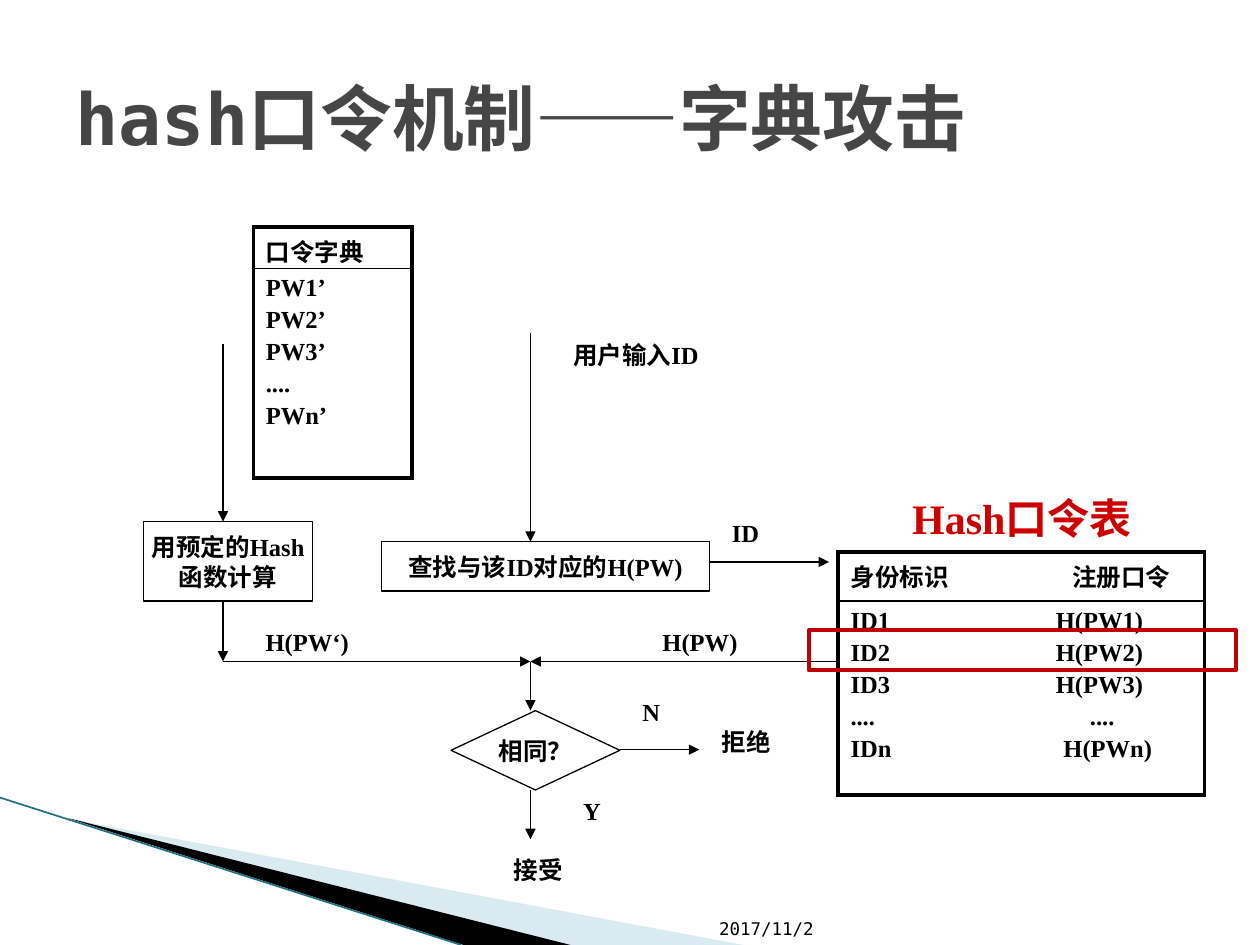
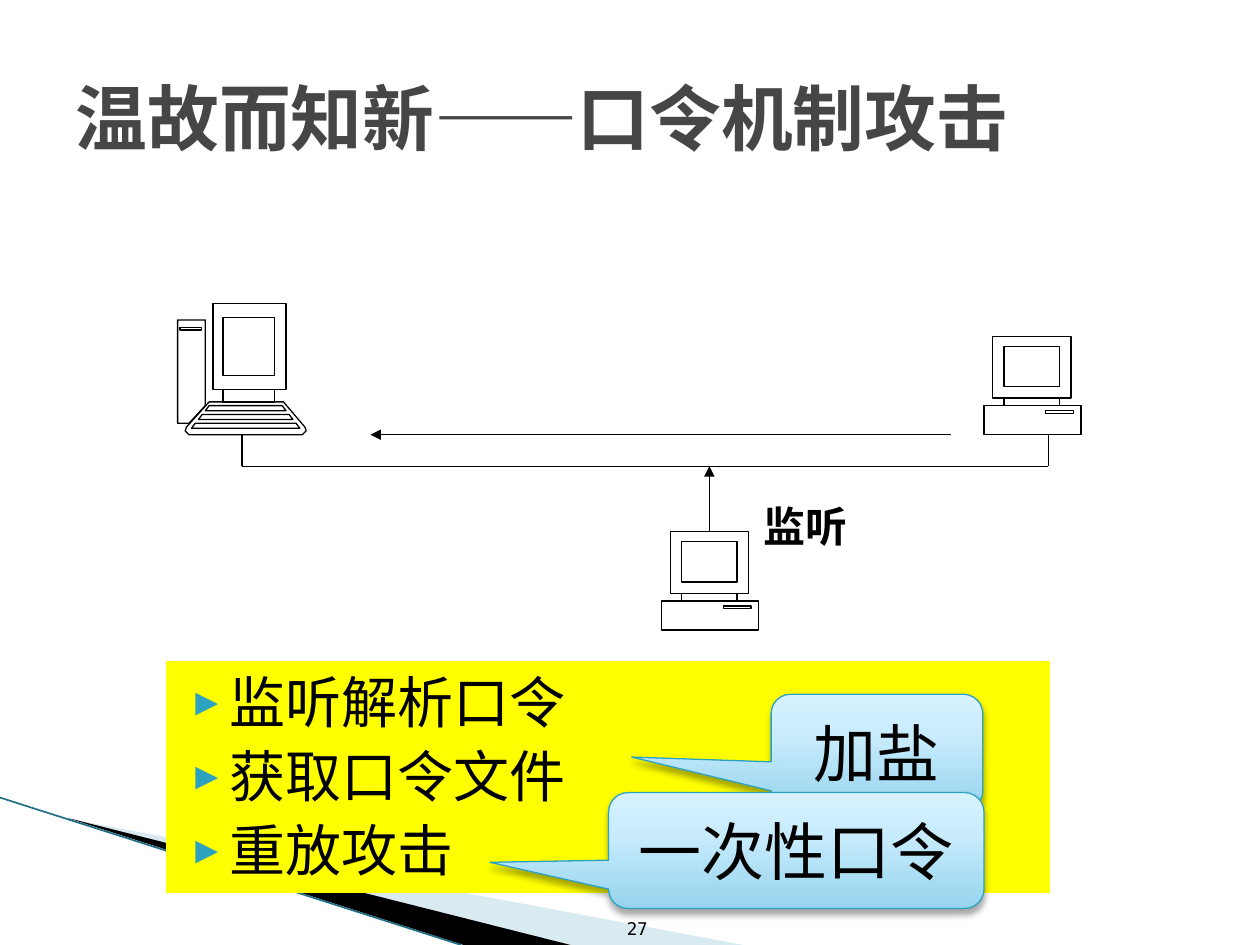
from copy import deepcopy

from lxml.etree import SubElement
from pptx import Presentation
from pptx.dml.color import RGBColor
from pptx.enum.shapes import MSO_CONNECTOR, MSO_SHAPE
from pptx.enum.text import MSO_ANCHOR, MSO_AUTO_SIZE, PP_ALIGN
from pptx.oxml.ns import qn
from pptx.util import Inches, Pt

# Shared look
BLACK = RGBColor(0x00, 0x00, 0x00)
WHITE = RGBColor(0xFF, 0xFF, 0xFF)
TITLE_GRAY = RGBColor(0x46, 0x46, 0x46)
PALE_BLUE = RGBColor(0xA0, 0xCB, 0xDC)
DARK_TEAL = RGBColor(0x1F, 0x6F, 0x85)
TEAL = RGBColor(0x2D, 0xA2, 0xBF)
YELLOW = RGBColor(0xFF, 0xFF, 0x00)
HEADING_RED = RGBColor(0xCC, 0x00, 0x00)
FRAME_RED = RGBColor(0xC0, 0x00, 0x00)
CALLOUT_STOPS = [
    (0, RGBColor(0x96, 0xD4, 0xEE)),
    (0.65, RGBColor(0xC9, 0xEC, 0xFC)),
    (1, RGBColor(0xD7, 0xF2, 0xFF)),
]
MONO, SANS, SERIF = "DejaVu Sans Mono", "Noto Sans CJK SC", "Times New Roman"
CENTER, LEFT, RIGHT = PP_ALIGN.CENTER, PP_ALIGN.LEFT, PP_ALIGN.RIGHT
TOP, MIDDLE, BOTTOM = MSO_ANCHOR.TOP, MSO_ANCHOR.MIDDLE, MSO_ANCHOR.BOTTOM
THIN, THICK = 0.75, 2.25

# Bands in the lower left corner: colour, opacity in percent and corners
BANDS = [
    (PALE_BLUE, 40, [(0.55, 6.5), (5.9, 7.5), (4.52, 7.5)]),
    (BLACK, 100, [(0.53, 6.49), (4.53, 7.5), (3.68, 7.5)]),
]
BAND_EDGE = (0, 6.33, 3.66, 7.5)

# Dictionary attack: each table row holds its text, and a second text with its tab stop
DICTIONARY = {
    "box": (2.01, 1.8, 1.26),
    "heights": (0.33, 1.66),
    "header": [("口令字典",)],
    "body": [("PW1’",), ("PW2’",), ("PW3’",), ("....",), ("PWn’",)],
}
HASH_TABLE = {
    "box": (6.65, 4.38, 2.91),
    "heights": (0.39, 1.54),
    "header": [("身份标识", "注册口令", 1.76)],
    "body": [
        ("ID1", "H(PW1)", 1.63),
        ("ID2", "H(PW2)", 1.63),
        ("ID3", "H(PW3)", 1.63),
        ("....", "....", 1.9),
        ("IDn", "H(PWn)", 1.69),
    ],
}
STEPS = [
    (MSO_SHAPE.FLOWCHART_DECISION, "相同？", (3.58, 5.64, 1.34, 0.63)),
    (MSO_SHAPE.RECTANGLE, "用预定的Hash\n函数计算", (1.14, 4.14, 1.34, 0.63)),
    (MSO_SHAPE.RECTANGLE, "查找与该ID对应的H(PW)", (3.03, 4.3, 2.6, 0.39)),
]
FLOW_ARROWS = [
    (1.77, 2.73, 1.77, 4.14),
    (1.77, 4.77, 1.77, 5.25),
    (1.77, 5.25, 4.21, 5.25),
    (6.65, 5.25, 4.21, 5.25),
    (4.21, 2.64, 4.21, 4.3),
    (4.21, 5.25, 4.21, 5.64),
    (4.21, 6.27, 4.21, 6.66),
    (4.92, 5.95, 5.55, 5.95),
    (5.63, 4.46, 6.58, 4.46),
]
FLOW_LABELS = [
    ("接受", 3.98, 6.74, 0.71),
    ("拒绝", 5.63, 5.72, 0.79),
    ("N", 5, 5.48, 0.79),
    ("Y", 4.53, 6.27, 0.79),
    ("H(PW‘)", 2.01, 4.93, 1.26),
    ("H(PW)", 5.16, 4.93, 1.26),
    ("用户输入ID", 4.45, 2.65, 2.21),
    ("ID", 5.71, 4.06, 0.55),
]

# Password attacks: parts of the computers and the network between them
DESKTOP_PARTS = [
    (0, 0.55, 0.77, 0.23),
    (0.16, 0.49, 0.44, 0.06),
    (0.07, 0, 0.62, 0.49),
    (0.16, 0.08, 0.44, 0.32),
    (0.49, 0.59, 0.22, 0.02),
]
DESKTOPS = [(7.81, 2.67), (5.25, 4.22)]
SERVER_PARTS = [
    (1.77, 3.09, 0.41, 0.1),
    (1.69, 2.41, 0.58, 0.68),
    (1.77, 2.52, 0.41, 0.46),
    (1.43, 2.6, 0.17, 0.02),
]
TOWER = [(1.41, 2.54), (1.63, 2.54), (1.63, 3.22), (1.5, 3.36), (1.41, 3.36)]
KEYBOARD = [(1.66, 3.19), (2.25, 3.19), (2.42, 3.39), (2.43, 3.42),
            (2.4, 3.45), (1.5, 3.45), (1.47, 3.42), (1.48, 3.39)]
KEY_ROWS = 3
NETWORK_LINES = [(1.92, 3.45, 1.92, 3.7), (8.32, 3.45, 8.32, 3.7), (1.92, 3.7, 8.32, 3.7)]
NETWORK_ARROWS = [(5.63, 4.22, 5.63, 3.7), (7.55, 3.45, 2.94, 3.45)]
ATTACKS = ["监听解析口令", "获取口令文件", "重放攻击"]
CALLOUTS = [
    ("加盐", (6.12, 5.51, 1.68, 0.92), (-1.159, 0.042, 0.167)),
    ("一次性口令", (4.83, 6.29, 2.98, 0.92), (-0.816, 0.102, 0.167)),
]


def inches(values):
    return [Inches(value) for value in values]


def write(text_frame, text, size, font=SERIF, color=BLACK, bold=False,
          align=LEFT, anchor=TOP, wrap=True):
    text_frame.text = text
    text_frame.word_wrap = wrap
    text_frame.auto_size = MSO_AUTO_SIZE.NONE
    text_frame.vertical_anchor = anchor
    for paragraph in text_frame.paragraphs:
        paragraph.alignment = align
        format_runs(paragraph, size, font, color, bold)


def format_runs(paragraph, size, font, color, bold):
    for run in paragraph.runs:
        run.font.size = Pt(size)
        run.font.bold = bold
        run.font.name = font
        run.font.color.rgb = color
        SubElement(run.font._element, qn("a:ea"), typeface=SANS)


def paint(shape, fill, line=BLACK, width=THIN):
    if fill is None:
        shape.fill.background()
    else:
        shape.fill.solid()
        shape.fill.fore_color.rgb = fill
    if line is None:
        shape.line.fill.background()
    else:
        shape.line.color.rgb = line
        shape.line.width = Pt(width)
    shape.shadow.inherit = False
    return shape


def add_block(slide, box, fill=WHITE, line=BLACK, width=THIN, kind=MSO_SHAPE.RECTANGLE):
    return paint(slide.shapes.add_shape(kind, *inches(box)), fill, line, width)


def add_outline(slide, contours, fill=None, line=BLACK):
    builder = slide.shapes.build_freeform(*inches(contours[0][0]))
    for number, contour in enumerate(contours):
        corners = [inches(point) for point in contour]
        if number:
            builder.move_to(*corners[0])
        builder.add_line_segments(corners[1:], close=True)
    return paint(builder.convert_to_shape(), fill, line)


def box_corners(box, left=0, top=0):
    x, y, width, height = box
    x, y = x + left, y + top
    return [(x, y), (x + width, y), (x + width, y + height), (x, y + height)]


def add_line(slide, ends, arrow=False, color=BLACK, width=THIN):
    connector = slide.shapes.add_connector(MSO_CONNECTOR.STRAIGHT, *inches(ends))
    connector.line.color.rgb = color
    connector.line.width = Pt(width)
    if arrow:
        SubElement(connector.line._get_or_add_ln(), qn("a:tailEnd"), type="triangle")
    SubElement(connector._element.spPr, qn("a:effectLst"))
    return connector


def add_label(slide, text, box, size, **style):
    label = slide.shapes.add_textbox(*inches(box))
    write(label.text_frame, text, size, **style)


def add_slide(presentation, layout, title):
    slide = presentation.slides.add_slide(presentation.slide_layouts[layout])
    heading = slide.shapes.title
    heading.left, heading.top, heading.width, heading.height = inches((0.5, 0.3, 9, 1.25))
    write(heading.text_frame, title, 41, MONO, TITLE_GRAY, True, anchor=MIDDLE)
    return slide


def add_master_bands(presentation, slide):
    """Draw the bands and move them behind everything, onto the master."""
    parts = []
    for color, opacity, points in BANDS:
        band = add_outline(slide, [points], color, None)
        fill_color = band._element.spPr.find(qn("a:solidFill"))[0]
        SubElement(fill_color, qn("a:alpha"), val=str(opacity * 1000))
        parts.append(band)
    parts.append(add_line(slide, BAND_EDGE, color=DARK_TEAL, width=0.95))
    for position, part in enumerate(parts, start=2):
        presentation.slide_master.shapes._spTree.insert(position, part._element)


def add_list_table(slide, content):
    left, top, width = content["box"]
    heights = content["heights"]
    frame = slide.shapes.add_table(2, 1, *inches((left, top, width, sum(heights))))
    table = frame.table
    table.first_row = table.horz_banding = False
    for index, rows in enumerate((content["header"], content["body"])):
        table.rows[index].height = Inches(heights[index])
        cell = table.cell(index, 0)
        cell.margin_top = Inches(0.05)
        cell.margin_bottom = 0
        cell.fill.background()
        fill_cell(cell, rows)
        top_width, bottom_width = (THICK, THIN) if index == 0 else (THIN, THICK)
        set_borders(cell, {"L": THICK, "R": THICK, "T": top_width, "B": bottom_width})


def fill_cell(cell, rows):
    cell.text_frame.text = "\n".join("\t".join(row[:2]) for row in rows)
    for number, (paragraph, row) in enumerate(zip(cell.text_frame.paragraphs, rows)):
        if number:
            paragraph.space_before = Pt(2.8)
        if len(row) > 2:
            tabs = SubElement(paragraph._p.get_or_add_pPr(), qn("a:tabLst"))
            SubElement(tabs, qn("a:tab"), pos=str(Inches(row[2])), algn="l")
        format_runs(paragraph, 14, SERIF, BLACK, True)


def set_borders(cell, widths):
    properties = cell._tc.get_or_add_tcPr()
    for position, (side, width) in enumerate(widths.items()):
        border = SubElement(properties, qn("a:ln" + side), w=str(Pt(width)))
        fill = SubElement(border, qn("a:solidFill"))
        SubElement(fill, qn("a:srgbClr"), val=str(BLACK))
        properties.insert(position, border)


def add_callout(slide, text, box, adjustments):
    callout = add_block(slide, box, line=TEAL, kind=MSO_SHAPE.ROUNDED_RECTANGULAR_CALLOUT)
    for index, value in enumerate(adjustments):
        callout.adjustments[index] = value
    # Three-stop gradient, darkest at the bottom
    callout.fill.gradient()
    callout.fill.gradient_angle = 90
    stop_list = callout._element.spPr.find(".//" + qn("a:gsLst"))
    stop_list.append(deepcopy(stop_list[-1]))
    for stop, (position, color) in zip(callout.fill.gradient_stops, CALLOUT_STOPS):
        stop.position = position
        stop.color.rgb = color
    # Soft shadow below
    effects = callout._element.spPr.find(qn("a:effectLst"))
    shadow = SubElement(effects, qn("a:outerShdw"), blurRad=str(Pt(4)),
                        dist=str(Pt(3)), dir="5400000", rotWithShape="0")
    color = SubElement(shadow, qn("a:srgbClr"), val=str(BLACK))
    SubElement(color, qn("a:alpha"), val="35000")
    write(callout.text_frame, text, 36, MONO, align=CENTER, anchor=MIDDLE)


def add_attack_list(slide):
    body = slide.placeholders[1]
    body.left, body.top, body.width, body.height = inches((1.32, 5.25, 7.01, 1.83))
    body.fill.solid()
    body.fill.fore_color.rgb = YELLOW
    body.line.color.rgb = YELLOW
    body.line.width = Pt(THIN)
    write(body.text_frame, "\n".join(ATTACKS), 32, SANS, align=PP_ALIGN.JUSTIFY)
    for number, paragraph in enumerate(body.text_frame.paragraphs):
        paragraph.line_spacing = Pt(38.3)
        paragraph.space_before = Pt(4 if number else 0)
        properties = paragraph._p.get_or_add_pPr()
        properties.set("marL", str(Inches(0.4)))
        properties.set("indent", str(Inches(-0.27)))
        color = SubElement(properties, qn("a:buClr"))
        SubElement(color, qn("a:srgbClr"), val=str(TEAL))
        SubElement(properties, qn("a:buSzPct"), val="68000")
        SubElement(properties, qn("a:buFont"), typeface=MONO)
        SubElement(properties, qn("a:buChar"), char="▶")


def build_dictionary_attack(presentation):
    slide = add_slide(presentation, 5, "hash口令机制——字典攻击")
    add_master_bands(presentation, slide)
    add_label(slide, "2017/11/2", (5.61, 7.01, 1.12, 0.49), 10, font=MONO, anchor=BOTTOM)
    add_list_table(slide, HASH_TABLE)
    add_list_table(slide, DICTIONARY)
    for kind, text, box in STEPS:
        step = add_block(slide, box, kind=kind)
        write(step.text_frame, text, 14, bold=True, align=CENTER, anchor=MIDDLE, wrap=False)
        for paragraph in step.text_frame.paragraphs:
            paragraph.line_spacing = Pt(17)
    for ends in FLOW_ARROWS:
        add_line(slide, ends, arrow=True)
    for text, left, top, width in FLOW_LABELS:
        add_label(slide, text, (left, top, width, 0.33), 14, bold=True)
    add_label(slide, "Hash口令表", (6.73, 3.86, 2.76, 0.5), 24,
              color=HEADING_RED, bold=True, align=CENTER)
    # Frame around the matching entry
    add_block(slide, (6.42, 5, 3.39, 0.32), None, FRAME_RED, THICK)


def build_password_attacks(presentation):
    slide = add_slide(presentation, 1, "温故而知新——口令机制攻击")
    add_label(slide, "27", (4.68, 7.01, 0.56, 0.49), 10, font=MONO, align=RIGHT, anchor=BOTTOM)
    # Computers
    for left, top in DESKTOPS:
        add_outline(slide, [box_corners(box, left, top) for box in DESKTOP_PARTS])
    server = [TOWER, KEYBOARD] + [box_corners(box) for box in SERVER_PARTS]
    for row in range(KEY_ROWS):
        spread, top = 0.055 * row, 3.22 + 0.07 * row
        server.append([(1.66 - spread, top), (2.24 + spread, top),
                       (2.27 + spread, top + 0.04), (1.63 - spread, top + 0.04)])
    add_outline(slide, server)
    # Network and listener
    listener = add_block(slide, (6.01, 3.96, 0.77, 0.52), line=None)
    write(listener.text_frame, "监听", 24, SANS, bold=True, align=CENTER)
    listener.text_frame.margin_left = listener.text_frame.margin_right = Inches(0.02)
    listener.text_frame.margin_top = listener.text_frame.margin_bottom = Inches(0.01)
    for ends in NETWORK_LINES:
        add_line(slide, ends)
    for ends in NETWORK_ARROWS:
        add_line(slide, ends, arrow=True)
    # Attacks and countermeasures
    add_attack_list(slide)
    for text, box, adjustments in CALLOUTS:
        add_callout(slide, text, box, adjustments)


def main():
    presentation = Presentation()
    presentation.slide_width, presentation.slide_height = Inches(10), Inches(7.5)
    build_dictionary_attack(presentation)
    build_password_attacks(presentation)
    presentation.save("out.pptx")


if __name__ == "__main__":
    main()
